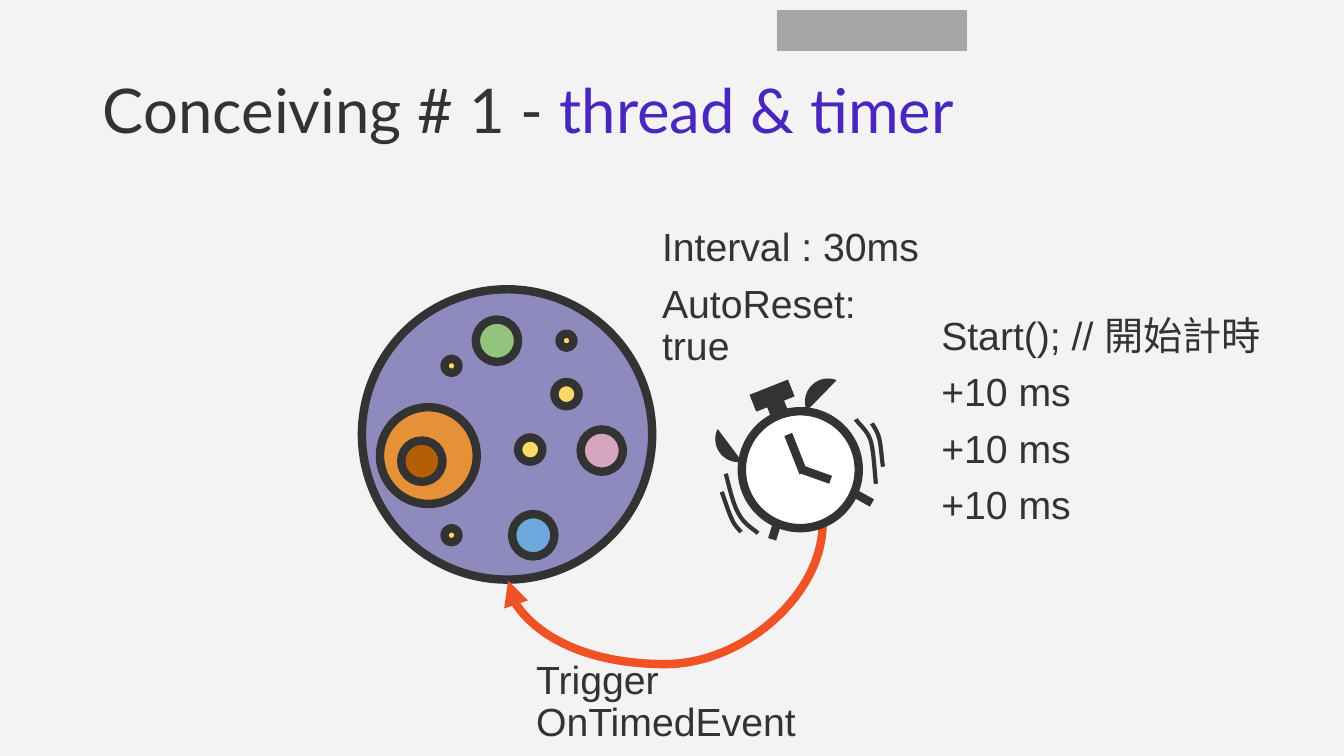
"""Build the thread and timer slide on a grid of tenth-inch cells."""
from dataclasses import dataclass

from lxml import etree
from pptx import Presentation
from pptx import util as u
from pptx.dml import color
from pptx.enum import shapes, text
from pptx.oxml import ns

COLUMNS, ROWS = 133.33, 75
CELL = u.Inches(0.1)
INK, PAPER, WHITE = "333333", "F3F3F3", "FFFFFF"
PURPLE, YELLOW, ORANGE = "4826C0", "FFD966", "F05125"
THICK, MEDIUM, THIN = 6, 3, 0.75
KIND = shapes.MSO_SHAPE


@dataclass
class Figure:
    left: float
    top: float
    width: float
    height: float
    fill: str
    weight: float = THICK
    kind: int = KIND.OVAL
    rotation: float = 0
    angles: tuple = ()
    line: str = INK


@dataclass
class Stroke:
    start: tuple
    end: tuple


@dataclass
class Note:
    left: float
    top: float
    width: float
    height: float
    lines: tuple


LOGO_BLOCK = Figure(77.1, 1, 18.8, 4, "A6A6A6", THIN, KIND.RECTANGLE, line="A6A6A6")

THREAD = (
    Figure(35.9, 28.7, 28.8, 28.8, "8F8ABD"),
    Figure(37.7, 40.4, 9.6, 9.6, "E69138"),
    Figure(39.8, 43.7, 4.1, 4.1, "B45F06"),
    Figure(47.2, 31.7, 4.2, 4.2, "93C47D"),
    Figure(57.6, 42.6, 4.2, 4.2, "D5A6BD"),
    Figure(50.8, 51, 4.2, 4.2, "6FA8DC"),
    *(Figure(left, top, size, size, YELLOW) for left, top, size in (
        (55, 37.9, 2.4), (51.4, 43.4, 2.4),
        (55.5, 33.1, 1.4), (44.1, 52.4, 1.4), (44.1, 35.6, 1.4))),
)

NOTES = (
    Note(64.7, 21.6, 28.2, 14.9, ((("Interval : 30ms", "Arial"),),
                                  (("AutoReset: true", "Arial"),))),
    Note(92.4, 30.4, 34.3, 25.3, (
        (("Start(); // ", "Arial"), ("開始計時", "Noto Sans CJK SC")),
        *[(("+10 ms", "Arial"),)] * 3)),
    Note(52.2, 64.5, 38.3, 7.2, ((("Trigger OnTimedEvent", "Arial"),),)),
)

VIBRATIONS = (
    ((84.9, 41.6), (85.1, 42), (86.1, 42.7), (86.4, 43.8),
     (86.7, 44.9), (86.8, 47.3), (86.9, 48)),
    ((86.5, 42), (86.6, 42.2), (87, 42.7), (87.2, 43.4),
     (87.4, 44.1), (87.5, 45.8), (87.6, 46.3)),
    ((75.2, 52.9), (74.9, 52.6), (73.8, 52), (73.3, 51),
     (72.7, 50.1), (72.2, 47.7), (72, 47)),
    ((73.5, 52.8), (73.4, 52.6), (72.9, 52.2), (72.6, 51.5),
     (72.3, 50.9), (71.8, 49.3), (71.6, 48.8)),
)

CLOCK = (
    Figure(73.6, 40.8, 11.6, 11.6, WHITE, THICK, KIND.OVAL, 338.3),
    Stroke((78.2, 43.1), (79.7, 46.9)),
    Stroke((79.6, 46.6), (82.4, 47.6)),
    Figure(71, 41.3, 4.5, 4.5, INK, THIN, KIND.CHORD, 41.6, (40.94, 162)),
    Figure(79.9, 37.6, 4.5, 4.5, INK, THIN, KIND.CHORD, 117.9, (40.94, 171.65)),
    Figure(74.6, 38.4, 4, 1.7, INK, THIN, KIND.RECTANGLE, 338.3),
    Figure(75.4, 39, 2.9, 1.7, INK, THIN, KIND.RECTANGLE, 68.3),
    Stroke((77.1, 51.9), (76.6, 53.5)),
    Stroke((84.7, 48.9), (86.5, 49.9)),
)


def grid(*cells: float) -> list:
    """Turn grid cells into lengths."""
    return [u.Emu(round(cell * CELL)) for cell in cells]


def paint(target, hex_code: str) -> None:
    """Give a colour format its colour."""
    target.rgb = color.RGBColor.from_string(hex_code)


def draw_line(line, hex_code: str, weight: float) -> None:
    """Set the colour and weight of a line."""
    paint(line.color, hex_code)
    line.width = u.Pt(weight)


def add_figure(page, figure: Figure) -> None:
    """Draw a filled preset shape."""
    shape = page.shapes.add_shape(
        figure.kind, *grid(figure.left, figure.top, figure.width, figure.height))
    shape.shadow.inherit = False
    shape.rotation = figure.rotation
    for index, angle in enumerate(figure.angles):
        shape.adjustments[index] = angle * 0.6
    shape.fill.solid()
    paint(shape.fill.fore_color, figure.fill)
    draw_line(shape.line, figure.line, figure.weight)


def add_stroke(page, stroke: Stroke, kind=shapes.MSO_CONNECTOR.STRAIGHT, hex_code: str = INK):
    """Draw a thick connector without a shadow."""
    connector = page.shapes.add_connector(kind, *grid(*stroke.start, *stroke.end))
    draw_line(connector.line, hex_code, THICK)
    etree.SubElement(connector._element.spPr, ns.qn("a:effectLst"))
    return connector


def add_trigger_arrow(page) -> None:
    """Draw the curved arrow from the clock back to the thread."""
    arrow = add_stroke(page, Stroke((63.2, 39.2), (68.8, 70.4)),
                       shapes.MSO_CONNECTOR.CURVE, ORANGE)
    properties = arrow._element.spPr
    properties.find(ns.qn("a:xfrm")).set("rot", str(90 * 60000))
    guides = properties.find(ns.qn("a:prstGeom")).get_or_add_avLst()
    etree.SubElement(guides, ns.qn("a:gd"), name="adj1", fmla="val 248100")
    etree.SubElement(properties.find(ns.qn("a:ln")), ns.qn("a:tailEnd"), type="triangle")


def bezier(points: tuple, share: float) -> tuple:
    """Find the point at a share of a cubic curve."""
    rest = 1 - share
    weights = (rest ** 3, 3 * rest ** 2 * share, 3 * rest * share ** 2, share ** 3)
    return tuple(sum(w * p[axis] for w, p in zip(weights, points)) for axis in (0, 1))


def add_vibration(page, points: tuple, steps: int = 12) -> None:
    """Draw two joined cubic curves as an open outline."""
    track = [grid(*bezier(points[first:first + 4], step / steps))
             for first in (0, 3) for step in range(1, steps + 1)]
    builder = page.shapes.build_freeform(*grid(*points[0]))
    builder.add_line_segments(track, close=False)
    shape = builder.convert_to_shape()
    shape.shadow.inherit = False
    shape.fill.background()
    draw_line(shape.line, INK, MEDIUM)


def add_span(para, words: str, font: str, size: float, hex_code: str) -> None:
    """Append a formatted run to a paragraph."""
    span = para.add_run()
    span.text = words
    span.font.name, span.font.size = font, u.Pt(size)
    paint(span.font.color, hex_code)
    if not words.isascii():
        etree.SubElement(span.font._element, ns.qn("a:ea"), typeface=font)


def add_note(page, note: Note) -> None:
    """Write a wrapped text box."""
    frame = page.shapes.add_textbox(
        *grid(note.left, note.top, note.width, note.height)).text_frame
    frame.word_wrap = True
    frame.margin_left = frame.margin_right = frame.margin_top = frame.margin_bottom = CELL
    for index, spans in enumerate(note.lines):
        para = frame.add_paragraph() if index else frame.paragraphs[0]
        para.line_spacing = 0.9
        para.space_before = u.Pt(10 if index else 0)
        for words, font in spans:
            add_span(para, words, font, 28, INK)


def add_title(page) -> None:
    """Move and fill the title placeholder."""
    title = page.shapes.title
    title.left, title.top, title.width, title.height = grid(9.2, 4, 115, 14.5)
    frame = title.text_frame
    frame.auto_size = text.MSO_AUTO_SIZE.NONE
    frame.vertical_anchor = text.MSO_ANCHOR.MIDDLE
    para = frame.paragraphs[0]
    para.alignment = text.PP_ALIGN.LEFT
    para.line_spacing = 0.9
    add_span(para, "Conceiving # 1 - ", "Lato", 44, INK)
    add_span(para, "thread & timer", "Lato", 44, PURPLE)


def main() -> None:
    """Build and save the deck."""
    deck = Presentation()
    deck.slide_width, deck.slide_height = grid(COLUMNS, ROWS)
    page = deck.slides.add_slide(deck.slide_layouts[5])
    page.background.fill.solid()
    paint(page.background.fill.fore_color, PAPER)
    add_title(page)
    for figure in (LOGO_BLOCK, *THREAD):
        add_figure(page, figure)
    for points in VIBRATIONS:
        add_vibration(page, points)
    add_trigger_arrow(page)
    for note in NOTES:
        add_note(page, note)
    for part in CLOCK:
        (add_figure if isinstance(part, Figure) else add_stroke)(page, part)
    deck.save("out.pptx")


if __name__ == "__main__":
    main()
